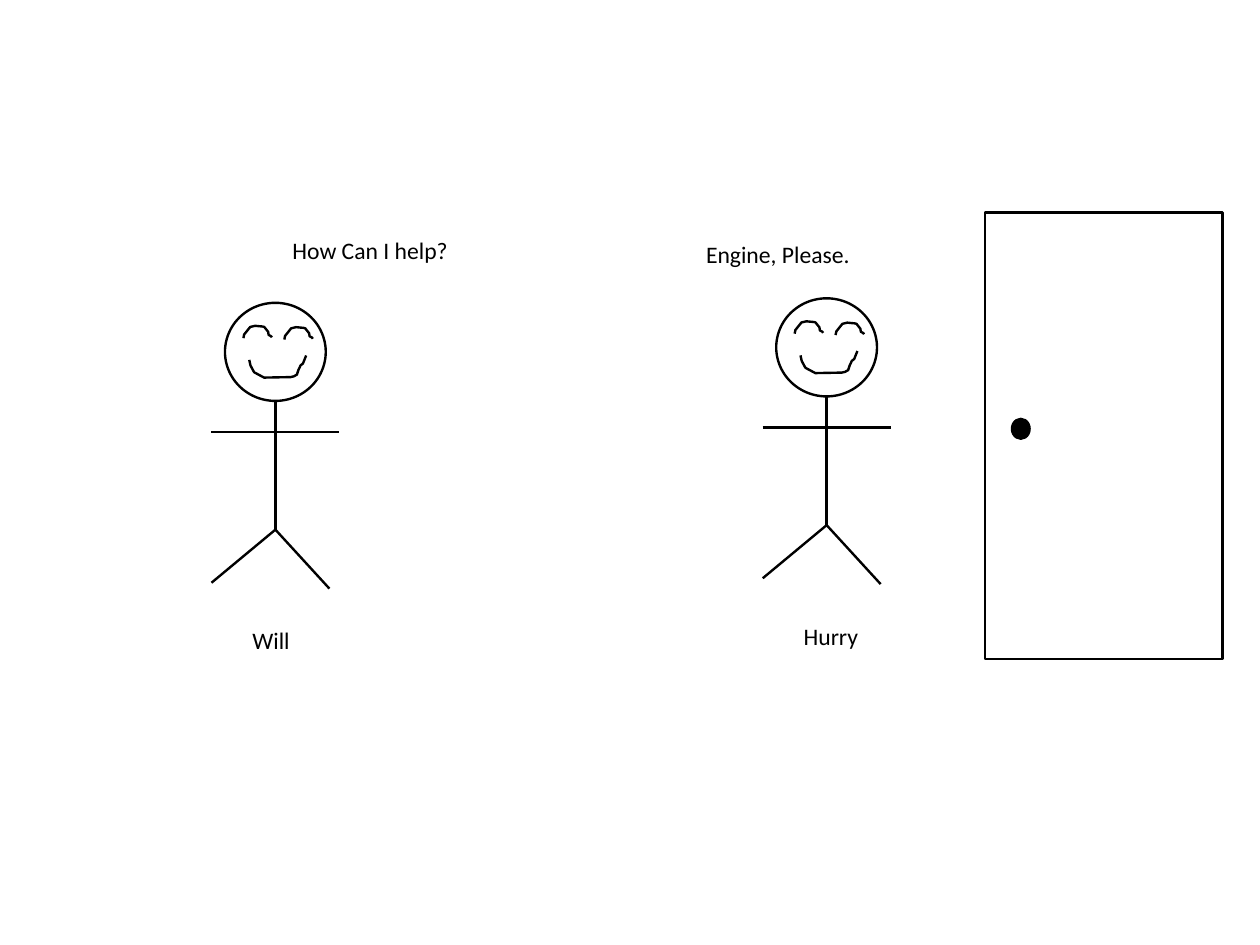
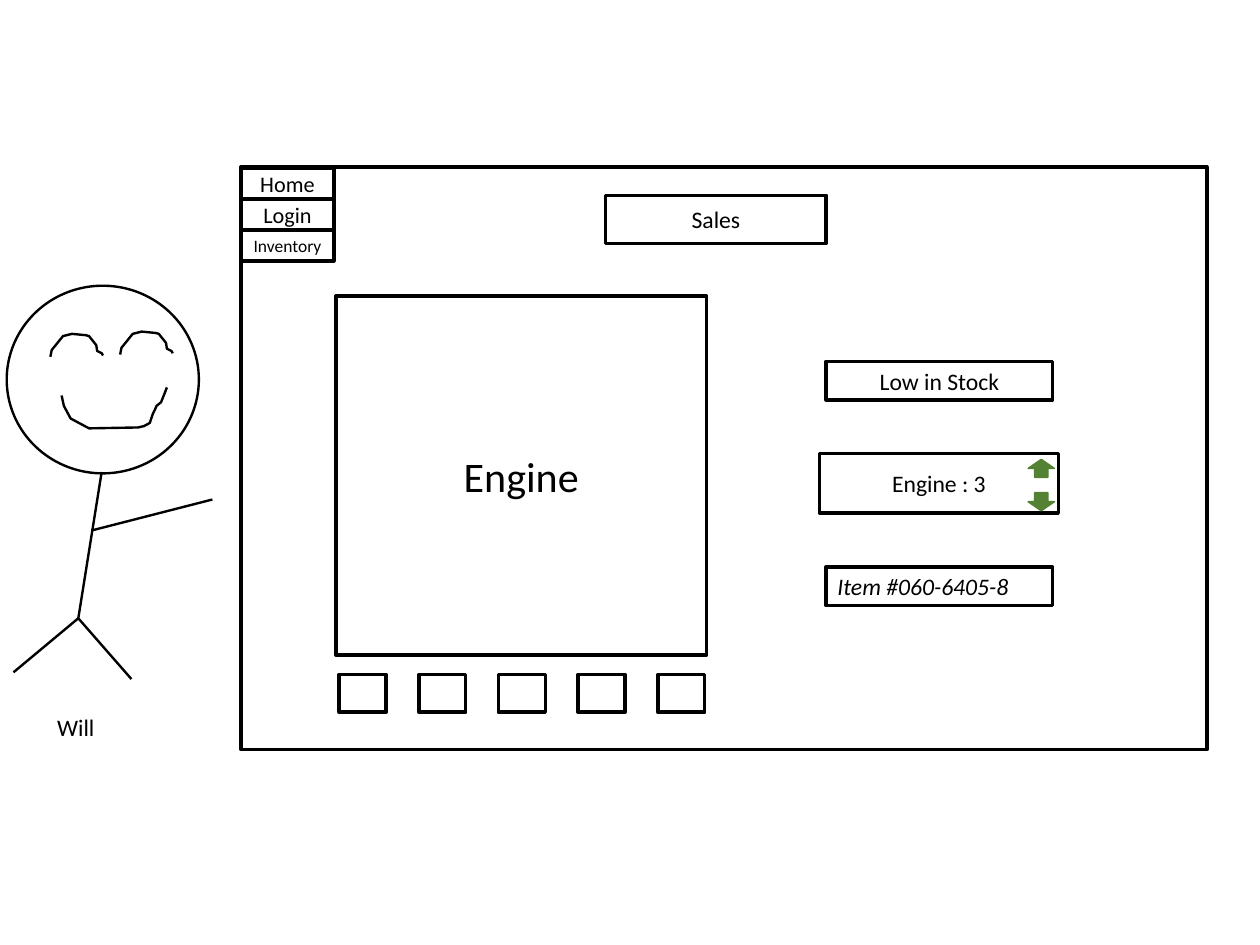
from dataclasses import dataclass, replace
from typing import NamedTuple

from lxml import etree
from pptx import Presentation
from pptx import util as u
from pptx.dml import color
from pptx.enum import shapes, text
from pptx.oxml import ns

# Shared look
HUE = {"ink": "000000", "paper": "FFFFFF", "leaf": "548235"}
FACE = "Calibri"
SIZE = 14.9
THIN, BOLD = 1.5, 2.25
KIND = shapes.MSO_SHAPE
ALIGN = text.PP_ALIGN

# Face strokes, in hundredths of a centimetre at full size
EYE = [(0, 51), (3, 36), (28, 5), (48, 0), (79, 3), (86, 5), (102, 25),
       (104, 38), (114, 43), (117, 48)]
SMILE = [(0, 18), (5, 41), (20, 69), (33, 76), (61, 91), (170, 89), (183, 86),
         (196, 79), (203, 58), (208, 48), (211, 41), (221, 33), (229, 13),
         (234, 0)]


class Box(NamedTuple):
    left: float
    top: float
    wide: float
    high: float

    def move(self, right: float, down: float) -> "Box":
        return self._replace(left=self.left + right, top=self.top + down)


@dataclass(frozen=True)
class Panel:
    box: Box
    words: str = ""
    size: float = SIZE
    align: ALIGN = ALIGN.CENTER
    slant: bool = False
    kind: KIND = KIND.RECTANGLE
    fill: str = "paper"
    edge: str = "ink"
    width: float = BOLD


@dataclass(frozen=True)
class Figure:
    name: str
    label: Box
    head: Box
    scale: float
    eyes: tuple
    smile: tuple
    limbs: tuple
    shift: tuple = (0, 0)


def tint(name: str) -> color.RGBColor:
    return color.RGBColor.from_string(HUE[name])


def place(box: Box) -> list:
    return [u.Cm(side) for side in box]


def ink(line, width: float, edge: str = "ink") -> None:
    line.color.rgb = tint(edge)
    line.width = u.Pt(width)


def write(frame, words: str, size: float = SIZE, align=ALIGN.LEFT,
          slant: bool = False) -> None:
    para = frame.paragraphs[0]
    para.text = words
    para.alignment = align
    font = para.runs[0].font
    look = {"name": FACE, "size": u.Pt(size), "italic": slant}
    for key, value in look.items():
        setattr(font, key, value)
    font.color.rgb = tint("ink")


def dress(shape, panel: Panel) -> None:
    shape.fill.solid()
    shape.fill.fore_color.rgb = tint(panel.fill)
    ink(shape.line, panel.width, panel.edge)
    if panel.words:
        frame = shape.text_frame
        setup = {"word_wrap": True, "auto_size": text.MSO_AUTO_SIZE.NONE,
                 "vertical_anchor": text.MSO_ANCHOR.MIDDLE}
        for key, value in setup.items():
            setattr(frame, key, value)
        write(frame, panel.words, panel.size, panel.align, panel.slant)


def draw(slide, panel: Panel) -> None:
    shape = slide.shapes.add_shape(panel.kind, *place(panel.box))
    shape.shadow.inherit = False
    dress(shape, panel)


def title(slide, panel: Panel) -> None:
    shape = slide.shapes.title
    for key, value in zip(("left", "top", "width", "height"), place(panel.box)):
        setattr(shape, key, value)
    dress(shape, panel)
    # Lift the title above the screen drawn before it
    slide.shapes._spTree.append(shape._element)


def label(slide, box: Box, words: str) -> None:
    frame = slide.shapes.add_textbox(*place(box)).text_frame
    frame.word_wrap = False
    frame.auto_size = text.MSO_AUTO_SIZE.SHAPE_TO_FIT_TEXT
    write(frame, words)


def limb(slide, start: tuple, end: tuple) -> None:
    ends = [u.Cm(value) for value in (*start, *end)]
    line = slide.shapes.add_connector(shapes.MSO_CONNECTOR.STRAIGHT, *ends)
    ink(line.line, THIN)
    etree.SubElement(line._element.spPr, ns.qn("a:effectLst"))


def stroke(slide, points: list, spot: tuple, scale: float) -> None:
    pen = slide.shapes.build_freeform(*points[0], scale=u.Cm(0.01) * scale)
    pen.add_line_segments(points[1:], close=False)
    shape = pen.convert_to_shape(*[u.Cm(value) for value in spot])
    shape.shadow.inherit = False
    shape.fill.background()
    ink(shape.line, THIN)


def person(slide, who: Figure) -> None:
    right, down = who.shift

    def move(spot: tuple) -> tuple:
        return spot[0] + right, spot[1] + down

    draw(slide, Panel(who.head.move(right, down), kind=KIND.OVAL, width=THIN))
    for start, end in who.limbs:
        limb(slide, move(start), move(end))
    for eye in who.eyes:
        stroke(slide, EYE, move(eye), who.scale)
    stroke(slide, SMILE, move(who.smile), who.scale)
    label(slide, who.label.move(right, down), who.name)


def desk(slide) -> None:
    # Two people talking
    hip = (6.12, 11.77)
    will = Figure(
        "Will", Box(5.36, 13.79, 1.35, 0.89), Box(5, 6.73, 2.24, 2.18), 0.54,
        eyes=((5.41, 7.24), (6.32, 7.27)), smile=(5.54, 7.9),
        limbs=(((6.12, 8.91), hip), ((4.7, 9.6), (7.54, 9.6)),
               (hip, (4.7, 12.95)), (hip, (7.32, 13.08))))
    hurry = replace(will, name="Hurry", label=Box(5.36, 13.79, 1.96, 0.89),
                    shift=(12.25, -0.1))
    for who in (will, hurry):
        person(slide, who)
    label(slide, Box(6.25, 5.11, 3.99, 0.89), "How Can I help?")
    label(slide, Box(15.44, 5.21, 3.73, 0.89), "Engine, Please.")

    # Door and knob
    draw(slide, Panel(Box(21.89, 4.72, 5.28, 9.93), width=THIN))
    draw(slide, Panel(Box(22.48, 9.3, 0.41, 0.46), kind=KIND.OVAL,
                      fill="ink", width=1))


def shop(slide) -> None:
    # Clerk pointing at the screen
    hip = (1.74, 13.74)
    person(slide, Figure(
        "Will", Box(1.02, 15.72, 1.35, 0.89), Box(0.15, 6.35, 4.27, 4.17), 1,
        eyes=((1.12, 7.42), (2.67, 7.37)), smile=(1.37, 8.61),
        limbs=(((2.26, 10.49), hip), ((2.03, 11.79), (4.72, 11.1)),
               (hip, (0.3, 14.94)), (hip, (2.92, 15.09)))))

    # Screen, heading and main view
    draw(slide, Panel(Box(5.36, 3.71, 21.46, 12.95)))
    title(slide, Panel(Box(13.46, 4.34, 4.9, 1.07), "Sales"))
    draw(slide, Panel(Box(7.47, 6.58, 8.23, 7.98), "Engine", 26.5))

    # Thumbnails
    for col in range(5):
        draw(slide, Panel(Box(7.54 + 1.77 * col, 14.99, 1.04, 0.84)))

    # Stock details
    draw(slide, Panel(Box(18.36, 8.03, 5.03, 0.86), "Low in Stock"))
    draw(slide, Panel(Box(18.36, 12.6, 5.03, 0.86), "Item #060-6405-8",
                      align=ALIGN.LEFT, slant=True))
    draw(slide, Panel(Box(18.21, 10.08, 5.31, 1.32), "Engine : 3"))
    for kind, top in ((KIND.DOWN_ARROW, 10.95), (KIND.UP_ARROW, 10.21)):
        draw(slide, Panel(Box(22.85, top, 0.58, 0.4), kind=kind,
                          fill="leaf", edge="leaf", width=1))

    # Menu
    menu = (("Home", 14), ("Login", 14), ("Inventory", 11))
    for row, (words, size) in enumerate(menu):
        draw(slide, Panel(Box(5.36, 3.73 + 0.69 * row, 2.06, 0.69), words, size))


def main() -> None:
    deck = Presentation()
    deck.slide_width, deck.slide_height = u.Cm(28), u.Cm(21)
    blank, titled = deck.slide_layouts[6], deck.slide_layouts[5]
    for layout, build in ((blank, desk), (titled, shop)):
        build(deck.slides.add_slide(layout))
    deck.save("out.pptx")


if __name__ == "__main__":
    main()
